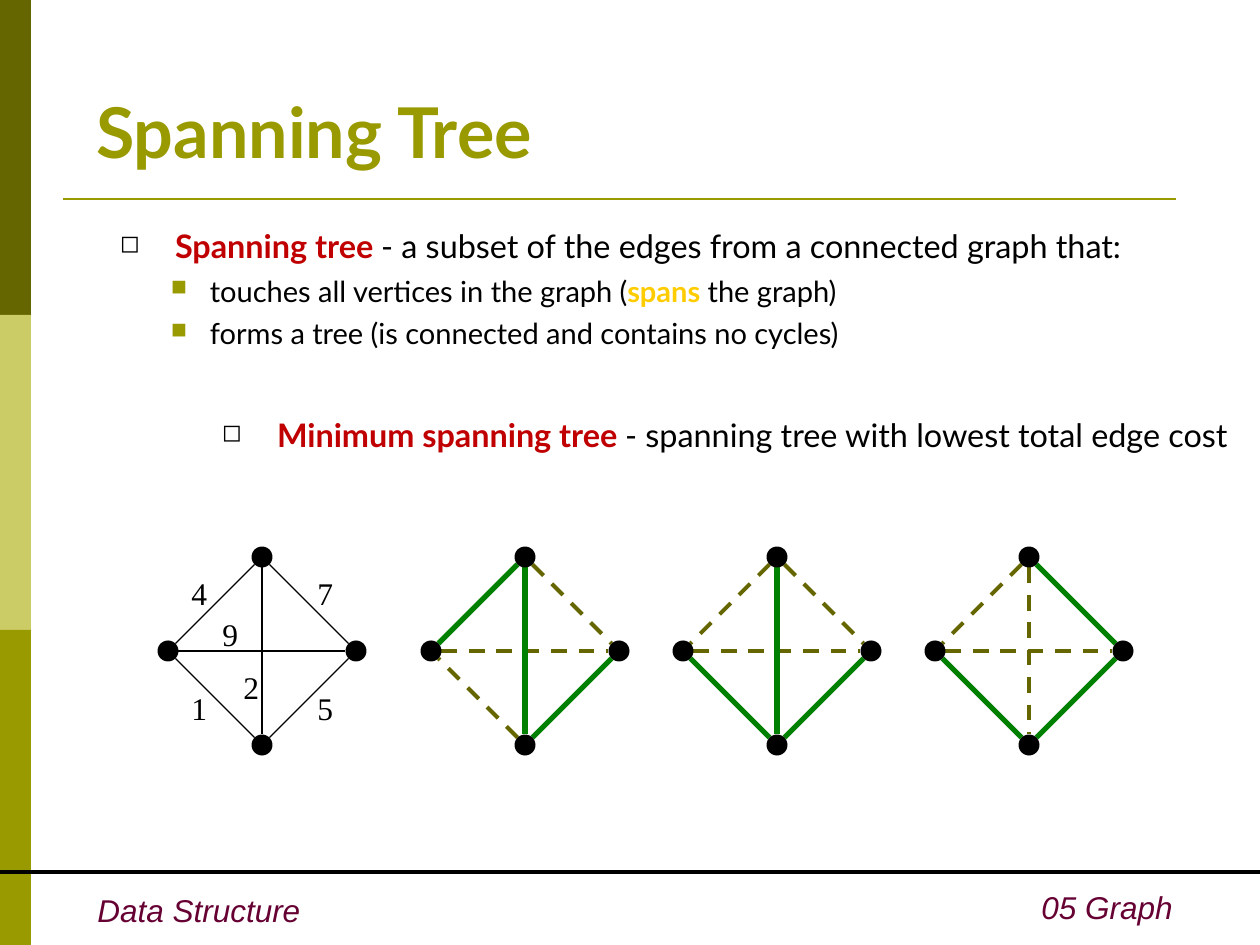
"""Build the Spanning Tree slide: definitions above a weighted graph and three spanning trees."""
from dataclasses import dataclass
from math import hypot

from lxml.etree import SubElement
from pptx import Presentation
from pptx.dml.color import RGBColor as Rgb
from pptx.enum.dml import MSO_LINE as Dash
from pptx.enum.shapes import MSO_CONNECTOR as Link, MSO_SHAPE as Shape
from pptx.enum.text import MSO_ANCHOR as Anchor, PP_ALIGN as Align
from pptx.oxml.ns import qn
from pptx.util import Emu, Pt


@dataclass(frozen=True)
class Theme:
    dark: str = "666600"
    pale: str = "CCCC66"
    olive: str = "999900"
    black: str = "000000"
    red: str = "C00000"
    gold: str = "FFCC00"
    green: str = "008000"
    plum: str = "660033"
    sans: str = "Lato"
    foot: str = "Arial"
    serif: str = "Times New Roman"
    title: float = 40
    main: float = 18.5
    sub: float = 16.6
    small: float = 18


T = Theme()
WIDTH, HEIGHT = 1260, 945
BANDS = [T.dark, T.pale, T.olive]
RULES = [((63, 199), (1176, 199), T.olive, 1.5), ((0, 872), (WIDTH, 872), T.black, 2.25)]

MAIN = dict(size=T.main, mark="◻", tint=T.black, hang=55)
SUB = dict(size=T.sub, mark="■", tint=T.olive, hang=39, left=115, before=4.5)
BODY = [
    (dict(MAIN, left=80, before=0),
     [("Spanning tree ", T.red), ("- a subset of the edges from a connected graph that:", None)]),
    (SUB, [("touches all vertices in the graph (", None), ("spans", T.gold), (" the graph)", None)]),
    (SUB, [("forms a tree (is connected and contains no cycles)", None)]),
    (dict(MAIN, left=182, before=37),
     [("Minimum spanning tree ", T.red), ("- spanning tree with lowest total edge cost", None)]),
]

NODES = {"N": (0, -1), "E": (1, 0), "S": (0, 1), "W": (-1, 0)}
EDGES = ["NW", "NE", "ES", "SW", "WE", "NS"]
COSTS = [("4", 179, 568), ("7", 305, 568), ("1", 179, 683),
         ("5", 305, 683), ("9", 210, 609), ("2", 231, 662)]
GRAPHS = [(262, None), (525, {"NW", "NS", "ES"}),
          (777, {"NS", "ES", "SW"}), (1029, {"NE", "ES", "SW"})]
MID, REACH, DOT = 651, 94, 21


def px(*nums):
    return [Emu(round(n * 914400 / 126)) for n in nums]


def solid(shapes, kind, box, color):
    shape = shapes.add_shape(kind, *px(*box))
    shape.shadow.inherit = False
    shape.fill.solid()
    shape.fill.fore_color.rgb = Rgb.from_string(color)
    shape.line.fill.background()


def line(shapes, start, end, color, width, dashed=False):
    link = shapes.add_connector(Link.STRAIGHT, *px(*start, *end))
    SubElement(link._element.spPr, qn("a:effectLst"))
    link.line.color.rgb = Rgb.from_string(color)
    link.line.width = Pt(width)
    if dashed:
        link.line.dash_style = Dash.DASH


def style(font, name, size, color, bold=False, italic=False):
    font.name, font.size = name, Pt(size)
    font.bold, font.italic = bold, italic
    font.color.rgb = Rgb.from_string(color)


def label(shapes, text, box, name, size, color, wrap=False, align=Align.LEFT,
          anchor=Anchor.TOP, **looks):
    frame = shapes.add_textbox(*px(*box)).text_frame
    frame.word_wrap, frame.vertical_anchor = wrap, anchor
    frame.text = text
    para = frame.paragraphs[0]
    para.alignment = align
    style(para.runs[0].font, name, size, color, **looks)


def bullet(para, mark, tint, left, hang):
    props = para._p.get_or_add_pPr()
    props.set("marL", str(px(left)[0]))
    props.set("indent", str(px(-hang)[0]))
    SubElement(SubElement(props, qn("a:buClr")), qn("a:srgbClr"), val=tint)
    SubElement(props, qn("a:buSzPct"), val="75000")
    SubElement(props, qn("a:buChar"), char=mark)


def body(shapes):
    frame = shapes.add_textbox(*px(95, 220, 1165, 325)).text_frame
    frame.word_wrap = True
    frame.margin_left = frame.margin_right = 0
    for i, (look, parts) in enumerate(BODY):
        para = frame.add_paragraph() if i else frame.paragraphs[0]
        para.space_before = Pt(look["before"])
        bullet(para, look["mark"], look["tint"], look["left"], look["hang"])
        for text, accent in parts:
            run = para.add_run()
            run.text = text
            style(run.font, T.sans, look["size"], accent or T.black, bold=bool(accent))


def graph(shapes, mid, tree):
    spots = {key: (mid + x * REACH, MID + y * REACH) for key, (x, y) in NODES.items()}
    for edge in sorted(EDGES, key=lambda e: e in (tree or ())):
        (ax, ay), (bx, by) = (spots[key] for key in edge)
        trim = DOT / 2 / hypot(bx - ax, by - ay)
        dx, dy = (bx - ax) * trim, (by - ay) * trim
        if tree is None:
            look = (T.black, 0.75)
        elif edge in tree:
            look = (T.green, 3)
        else:
            look = (T.dark, 2.25, True)
        line(shapes, (ax + dx, ay + dy), (bx - dx, by - dy), *look)
    for x, y in spots.values():
        solid(shapes, Shape.OVAL, (x - DOT / 2, y - DOT / 2, DOT, DOT), T.black)


def main():
    deck = Presentation()
    deck.slide_width, deck.slide_height = px(WIDTH, HEIGHT)
    shapes = deck.slides.add_slide(deck.slide_layouts[6]).shapes
    band = HEIGHT // len(BANDS)
    for i, color in enumerate(BANDS):
        solid(shapes, Shape.RECTANGLE, (0, i * band, 31, band), color)
    for rule in RULES:
        line(shapes, *rule)
    label(shapes, "Data Structure", (85, 885, 228, 50), T.foot, T.small, T.plum, italic=True)
    label(shapes, "05 Graph", (660, 882, 525, 50), T.foot, T.small, T.plum,
          wrap=True, align=Align.RIGHT, italic=True)
    label(shapes, "Spanning Tree", (84, 21, 1071, 158), T.sans, T.title, T.olive,
          wrap=True, anchor=Anchor.BOTTOM, bold=True)
    body(shapes)
    for mid, tree in GRAPHS:
        graph(shapes, mid, tree)
    for cost, x, y in COSTS:
        label(shapes, cost, (x, y, 40, 50), T.serif, T.small, T.black)
    deck.save("out.pptx")


if __name__ == "__main__":
    main()
